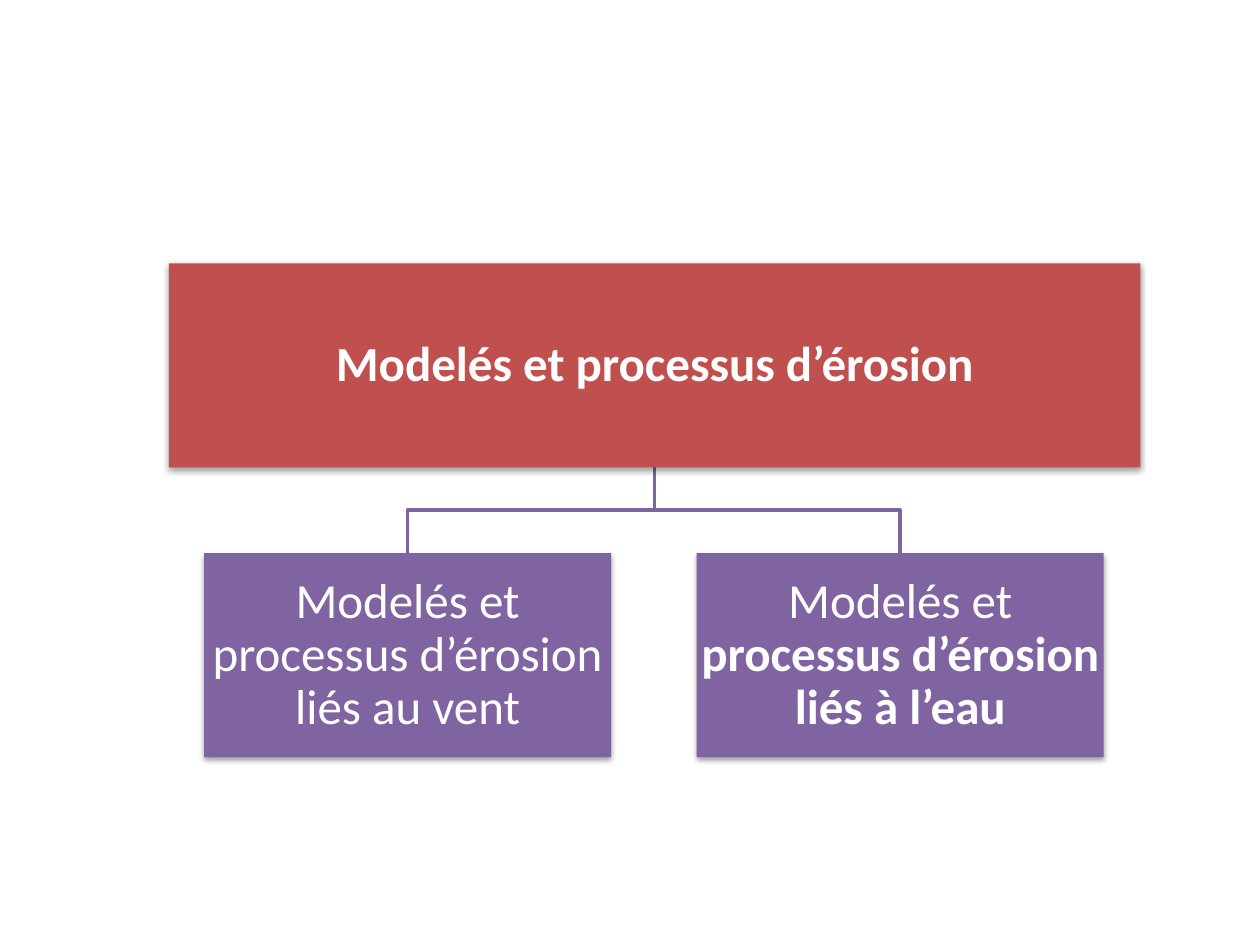
from dataclasses import dataclass

from lxml.etree import SubElement
from pptx import Presentation
from pptx.dml.color import RGBColor
from pptx.enum.shapes import MSO_SHAPE
from pptx.enum.text import MSO_ANCHOR, PP_ALIGN
from pptx.oxml.ns import qn
from pptx.shapes.autoshape import Shape
from pptx.slide import Slide
from pptx.util import Inches, Pt

RED, PURPLE, WHITE, BLACK = "C0504D", "8064A2", "FFFFFF", "000000"
BOX_HEIGHT = 1.62


@dataclass(frozen=True)
class Phrase:
    text: str
    bold: bool = False


@dataclass(frozen=True)
class Node:
    left: float
    top: float
    width: float
    fill: str
    phrases: tuple[Phrase, ...]

    @property
    def center(self) -> float:
        return self.left + self.width / 2

    @property
    def bottom(self) -> float:
        return self.top + BOX_HEIGHT


def color(value: str) -> RGBColor:
    return RGBColor.from_string(value)


def add_soft_shadow(box: Shape) -> None:
    box.shadow.inherit = False
    effects = box.fill._xPr.find(qn("a:effectLst"))
    shadow = SubElement(effects, qn("a:outerShdw"), blurRad="40000",
                        dist="20000", dir="5400000", rotWithShape="0")
    tint = SubElement(shadow, qn("a:srgbClr"), val=BLACK)
    SubElement(tint, qn("a:alpha"), val="38000")


def draw_node(slide: Slide, node: Node) -> None:
    box = slide.shapes.add_shape(
        MSO_SHAPE.RECTANGLE, Inches(node.left), Inches(node.top),
        Inches(node.width), Inches(BOX_HEIGHT))
    box.fill.solid()
    box.fill.fore_color.rgb = color(node.fill)
    box.line.fill.background()
    add_soft_shadow(box)

    frame = box.text_frame
    frame.word_wrap = True
    frame.vertical_anchor = MSO_ANCHOR.MIDDLE
    frame.margin_left = frame.margin_right = Inches(0.02)
    frame.margin_top = frame.margin_bottom = Inches(0.02)
    label = frame.paragraphs[0]
    label.alignment = PP_ALIGN.CENTER
    label.line_spacing = 0.9
    for phrase in node.phrases:
        run = label.add_run()
        run.text = phrase.text
        run.font.name = "Calibri"
        run.font.size = Pt(28)
        run.font.bold = phrase.bold
        run.font.color.rgb = color(WHITE)


def draw_branch(slide: Slide, parent: Node, child: Node) -> None:
    middle = (parent.bottom + child.top) / 2
    points = [(parent.center, parent.bottom), (parent.center, middle),
              (child.center, middle), (child.center, child.top)]
    start, *rest = [(Inches(x), Inches(y)) for x, y in points]
    builder = slide.shapes.build_freeform(*start)
    builder.add_line_segments(rest, close=False)
    branch = builder.convert_to_shape()
    branch.fill.background()
    branch.line.color.rgb = color(PURPLE)
    branch.line.width = Pt(2)
    branch.shadow.inherit = False


def main() -> None:
    prs = Presentation()
    prs.slide_width, prs.slide_height = Inches(10), Inches(7.5)
    slide = prs.slides.add_slide(prs.slide_layouts[6])

    erosion = Node(1.34, 2.09, 7.71, RED,
                   (Phrase("Modelés et processus d’érosion", bold=True),))
    wind = Node(1.62, 4.39, 3.23, PURPLE,
                (Phrase("Modelés et processus d’érosion liés au vent"),))
    water = Node(5.53, 4.39, 3.23, PURPLE,
                 (Phrase("Modelés et "),
                  Phrase("processus d’érosion liés à l’eau", bold=True)))

    # Branches lie behind the boxes
    for agent in (water, wind):
        draw_branch(slide, erosion, agent)

    # Root topic and its two agents
    for node in (erosion, wind, water):
        draw_node(slide, node)

    prs.save("out.pptx")


if __name__ == "__main__":
    main()
